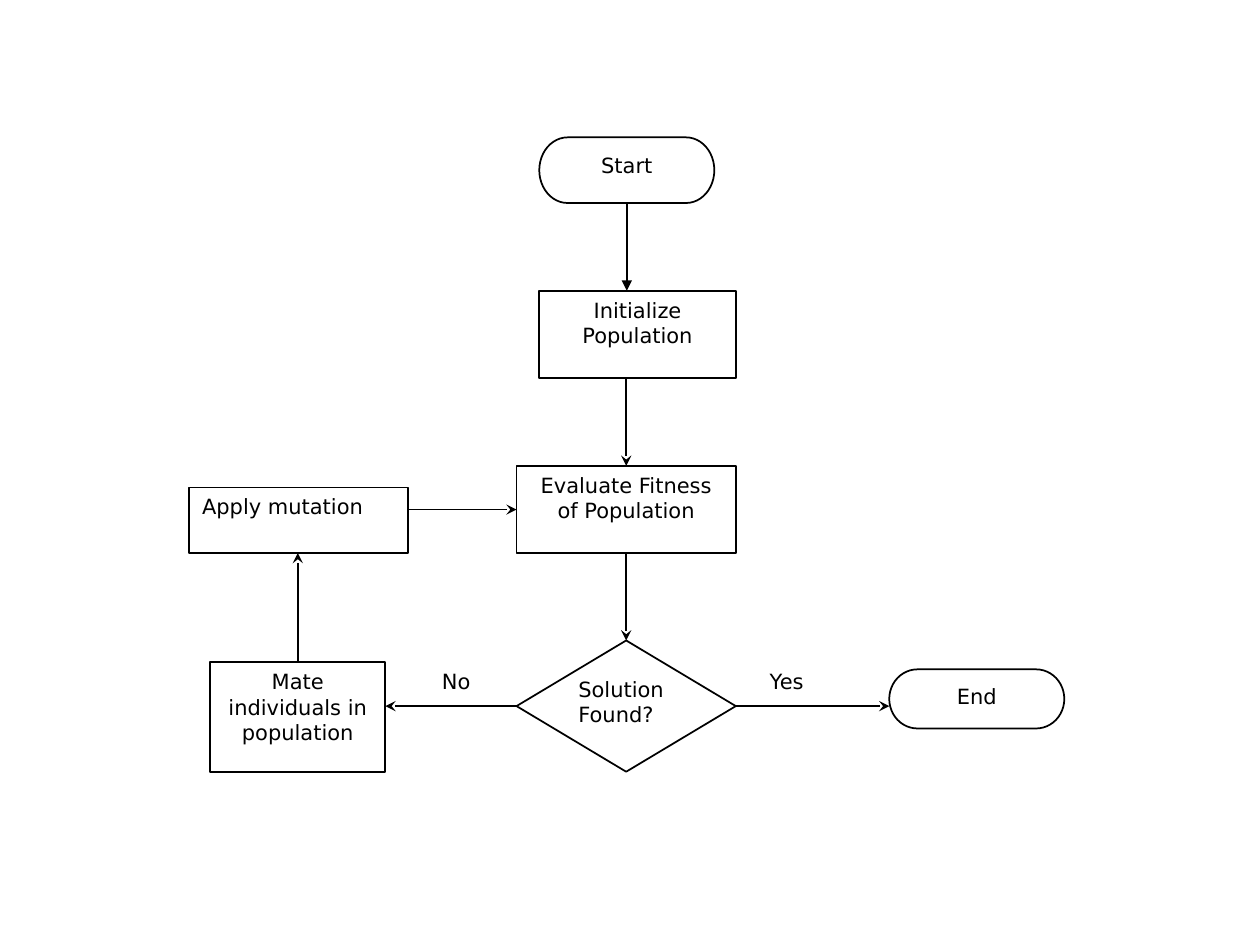
import pptx
import pptx.util
import pptx.dml.color
import pptx.enum.shapes
import pptx.enum.text
from pptx.oxml.ns import qn
from lxml import etree

Pt = pptx.util.Pt
SHAPE = pptx.enum.shapes.MSO_SHAPE
ALIGN = pptx.enum.text.PP_ALIGN
BLACK = pptx.dml.color.RGBColor(0x00, 0x00, 0x00)
WHITE = pptx.dml.color.RGBColor(0xFF, 0xFF, 0xFF)
FONT = "DejaVu Sans"

TERMINATOR = SHAPE.FLOWCHART_TERMINATOR
PROCESS = SHAPE.RECTANGLE
DECISION = SHAPE.DIAMOND
# Horizontal and vertical text insets of each kind of step
INSETS = {TERMINATOR: (7, 3), PROCESS: (7.5, 3.75), DECISION: (4, 2)}

# Branch labels: text, left, top, width, height
LABELS = [
    ("No", 245.5, 378.5, 50, 25),
    ("Yes", 432.8, 378.5, 50, 25),
]

# Steps: kind, text, alignment, (left, top, width, height)
STEPS = {
    "start": (TERMINATOR, "Start", ALIGN.CENTER, (308.2, 78.5, 100, 37.5)),
    "init": (PROCESS, "Initialize Population", ALIGN.CENTER, (308.2, 166.2, 112.3, 50)),
    "evaluate": (PROCESS, "Evaluate Fitness of Population", ALIGN.CENTER,
                 (295.2, 266.2, 125.3, 50)),
    "found": (DECISION, "Solution Found?", ALIGN.LEFT, (295.2, 366, 125.3, 75)),
    "end": (TERMINATOR, "End", ALIGN.CENTER, (508.2, 382.5, 100, 33.8)),
    "mate": (PROCESS, "Mate individuals in population", ALIGN.CENTER,
             (120.2, 378.5, 100, 62.7)),
    "mutate": (PROCESS, "Apply mutation", ALIGN.LEFT, (108, 278.5, 125.3, 37.5)),
}

# Arrows: from, to, step whose centre line the arrow follows, arrowhead
ARROWS = [
    ("start", "init", "start", "triangle"),
    ("init", "evaluate", "evaluate", "stealth"),
    ("evaluate", "found", "found", "stealth"),
    ("found", "mate", "found", "stealth"),
    ("found", "end", "found", "stealth"),
    ("mate", "mutate", "mate", "stealth"),
    ("mutate", "evaluate", "evaluate", "stealth"),
]


def write(shape, text, align, insets):
    tf = shape.text_frame
    tf.word_wrap = True
    tf.vertical_anchor = pptx.enum.text.MSO_ANCHOR.TOP
    tf.margin_left = tf.margin_right = Pt(insets[0])
    tf.margin_top = tf.margin_bottom = Pt(insets[1])
    p = tf.paragraphs[0]
    p.text = text
    p.alignment = align
    p.font.name = FONT
    p.font.size = Pt(12)
    p.font.color.rgb = BLACK


def add_step(s, kind, text, align, box):
    sp = s.shapes.add_shape(kind, *map(Pt, box))
    sp.shadow.inherit = False
    sp.fill.solid()
    sp.fill.fore_color.rgb = WHITE
    sp.line.color.rgb = BLACK
    sp.line.width = Pt(1)
    write(sp, text, align, INSETS[kind])


def facing_edges(a, a_size, b, b_size):
    """Edges of two spans that face each other, or None if they overlap."""
    if a + a_size <= b:
        return a + a_size, b
    if b + b_size <= a:
        return a, b + b_size
    return None


def add_arrow(s, source, target, guide, head):
    x1, y1, w1, h1 = STEPS[source][3]
    x2, y2, w2, h2 = STEPS[target][3]
    gx, gy, gw, gh = STEPS[guide][3]
    across = facing_edges(x1, w1, x2, w2)
    if across:
        y = gy + gh / 2
        ends = across[0], y, across[1], y
    else:
        x = gx + gw / 2
        down = facing_edges(y1, h1, y2, h2)
        ends = x, down[0], x, down[1]
    c = s.shapes.add_connector(pptx.enum.shapes.MSO_CONNECTOR.STRAIGHT, *map(Pt, ends))
    c.line.color.rgb = BLACK
    c.line.width = Pt(1)
    etree.SubElement(c.line._get_or_add_ln(), qn("a:tailEnd"), type=head)
    etree.SubElement(c._element.spPr, qn("a:effectLst"))


def main():
    prs = pptx.Presentation()
    prs.slide_width, prs.slide_height = Pt(720), Pt(540)
    s = prs.slides.add_slide(prs.slide_layouts[6])
    for text, *box in LABELS:
        label = s.shapes.add_textbox(*map(Pt, box))
        write(label, text, ALIGN.LEFT, (7.2, 3.6))
    for step in STEPS.values():
        add_step(s, *step)
    for arrow in ARROWS:
        add_arrow(s, *arrow)
    prs.save("out.pptx")


if __name__ == "__main__":
    main()
